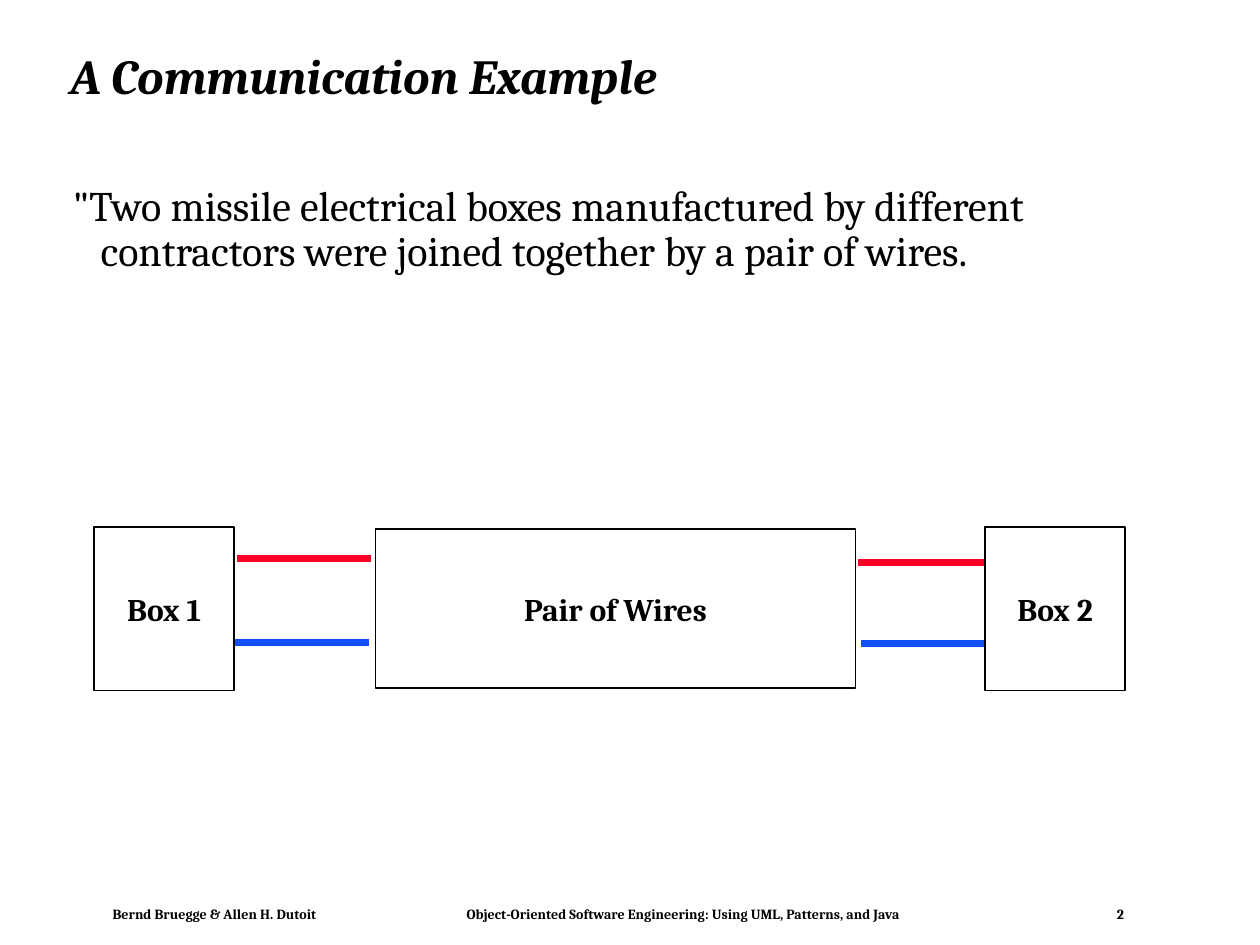
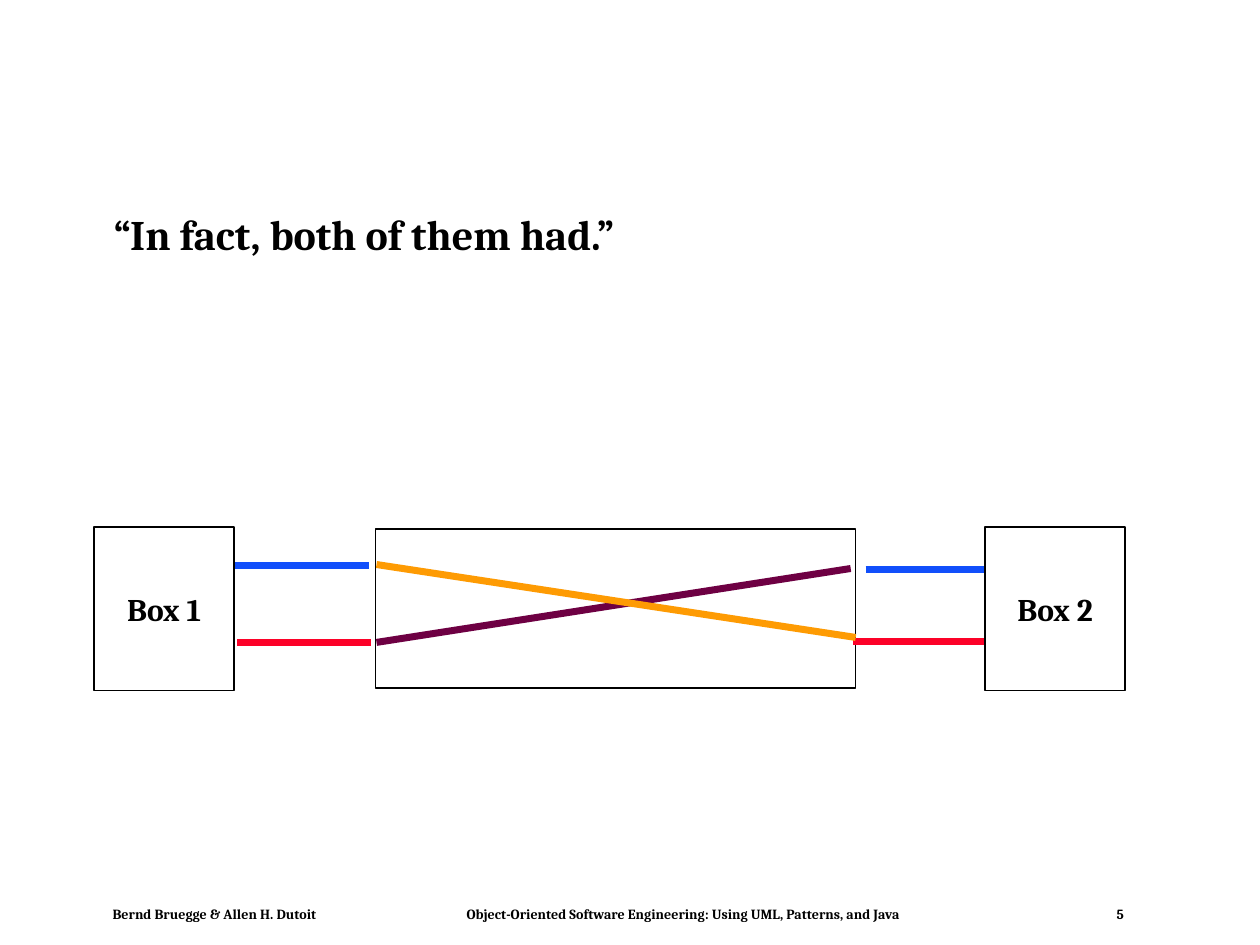
import pptx
import pptx.dml.color
import pptx.enum.shapes
import pptx.enum.text
import pptx.util
from pptx.util import Cm

FONT = "Cambria"
BLACK, WHITE = "000000", "FFFFFF"
RED, BLUE, PURPLE, ORANGE = "FC0128", "114FFB", "6E0043", "FE9B03"
ALIGN = pptx.enum.text.PP_ALIGN
ANCHOR = pptx.enum.text.MSO_ANCHOR
TITLE_ONLY, BLANK = 5, 6


def paint(target, colour):
    """Give a fill, or a font's or line's fill, one solid colour."""
    target.solid()
    target.fore_color.rgb = pptx.dml.color.RGBColor.from_string(colour)


def write(shape, text, size=18, bold=True, italic=False, align=ALIGN.LEFT, anchor=ANCHOR.TOP,
          wrap=True, side_margin=0.25, line_spacing=1.0, indent=0, first_line=0):
    frame = shape.text_frame
    frame.auto_size = pptx.enum.text.MSO_AUTO_SIZE.NONE
    frame.word_wrap = wrap
    frame.vertical_anchor = anchor
    frame.margin_left = frame.margin_right = Cm(side_margin)
    frame.margin_top = frame.margin_bottom = Cm(0.13)
    paragraph = frame.paragraphs[0]
    paragraph.alignment = align
    paragraph.line_spacing = line_spacing
    if indent:
        properties = paragraph._p.get_or_add_pPr()
        properties.set("marL", str(Cm(indent)))
        properties.set("indent", str(Cm(first_line)))
    run = paragraph.add_run()
    run.text = text
    run.font.name = FONT
    run.font.size = pptx.util.Pt(size)
    run.font.bold = bold
    run.font.italic = italic
    paint(run.font.fill, BLACK)


# left, top, width, height in centimetres
WIRE_CASE = (7.57, 10.67, 9.68, 3.2)
END_BOXES = [("Box 1", (1.9, 10.62, 2.82, 3.3)), ("Box 2", (19.86, 10.62, 2.82, 3.3))]
FOOTER_TOP, FOOTER_HEIGHT = 18.16, 0.53

# Wires: colour, start x, start y, end x, end y in centimetres
slides = [
    {
        "number": 2,
        "title": "A Communication Example",
        "statement": "\"Two missile electrical boxes manufactured by different "
                     "contractors were joined together by a pair of wires.",
        "statement_at": (0.99, 3.6, 22.94, 13.67),
        "statement_format": {"bold": False, "first_line": -0.56},
        "case_label": "Pair of Wires",
        "wires": [
            (RED, 4.78, 11.25, 7.47, 11.25),
            (BLUE, 4.65, 12.95, 7.44, 12.95),
            (BLUE, 17.35, 12.98, 19.89, 12.98),
            (RED, 17.3, 11.33, 20.04, 11.33),
        ],
    },
    {
        "number": 5,
        "title": None,
        "statement": "“In fact, both of them had.”",
        "statement_at": (1.25, 4.19, 22.94, 3.53),
        "statement_format": {"bold": True},
        "case_label": None,
        "wires": [
            (RED, 4.78, 12.95, 7.47, 12.95),
            (BLUE, 4.65, 11.4, 7.44, 11.4),
            (BLUE, 17.45, 11.48, 19.99, 11.48),
            (RED, 17.2, 12.93, 19.94, 12.93),
            (PURPLE, 7.59, 12.95, 17.15, 11.46),
            (ORANGE, 7.59, 11.38, 17.25, 12.85),
        ],
    },
]

presentation = pptx.Presentation()
presentation.slide_width = Cm(25.4)
presentation.slide_height = Cm(19.05)

for content in slides:
    layout = TITLE_ONLY if content["title"] else BLANK
    slide = presentation.slides.add_slide(presentation.slide_layouts[layout])
    paint(slide.background.fill, WHITE)

    if content["title"]:
        title = slide.shapes.title
        title.left, title.top, title.width, title.height = map(Cm, (1.17, 0.61, 22.66, 1.96))
        write(title, content["title"], size=28, italic=True, anchor=ANCHOR.MIDDLE,
              line_spacing=0.9)

    footers = [
        ("Bernd Bruegge & Allen H. Dutoit", 2.27, 5, ALIGN.LEFT),
        ("Object-Oriented Software Engineering: Using UML, Patterns, and Java",
         8.78, 10, ALIGN.CENTER),
        (str(content["number"]), 20.66, 2, ALIGN.RIGHT),
    ]
    for text, left, width, align in footers:
        footer = slide.shapes.add_textbox(Cm(left), Cm(FOOTER_TOP), Cm(width), Cm(FOOTER_HEIGHT))
        write(footer, text, size=8, align=align, anchor=ANCHOR.MIDDLE, side_margin=0)

    statement = slide.shapes.add_textbox(*map(Cm, content["statement_at"]))
    write(statement, content["statement"], size=24, line_spacing=0.9, indent=0.79,
          **content["statement_format"])

    # The end boxes are drawn last so that they cover the wire ends
    for layer in ([(content["case_label"], WIRE_CASE)], content["wires"], END_BOXES):
        if layer is content["wires"]:
            for colour, *ends in layer:
                wire = slide.shapes.add_connector(
                    pptx.enum.shapes.MSO_CONNECTOR.STRAIGHT, *map(Cm, ends))
                wire.line.width = pptx.util.Pt(4)
                paint(wire.line.fill, colour)
                wire._element.spPr.add_effectLst() if hasattr(
                    wire._element.spPr, "add_effectLst") else wire._element.spPr.append(
                    pptx.oxml.parse_xml('<a:effectLst xmlns:a="http://schemas.openxmlformats.org/'
                                        'drawingml/2006/main"/>'))
            continue
        for label, place in layer:
            box = slide.shapes.add_shape(
                pptx.enum.shapes.MSO_SHAPE.RECTANGLE, *map(Cm, place))
            box.shadow.inherit = False
            paint(box.fill, WHITE)
            paint(box.line.fill, BLACK)
            box.line.width = pptx.util.Pt(1)
            if label:
                write(box, label, align=ALIGN.CENTER, anchor=ANCHOR.MIDDLE, wrap=False)

presentation.save("out.pptx")
